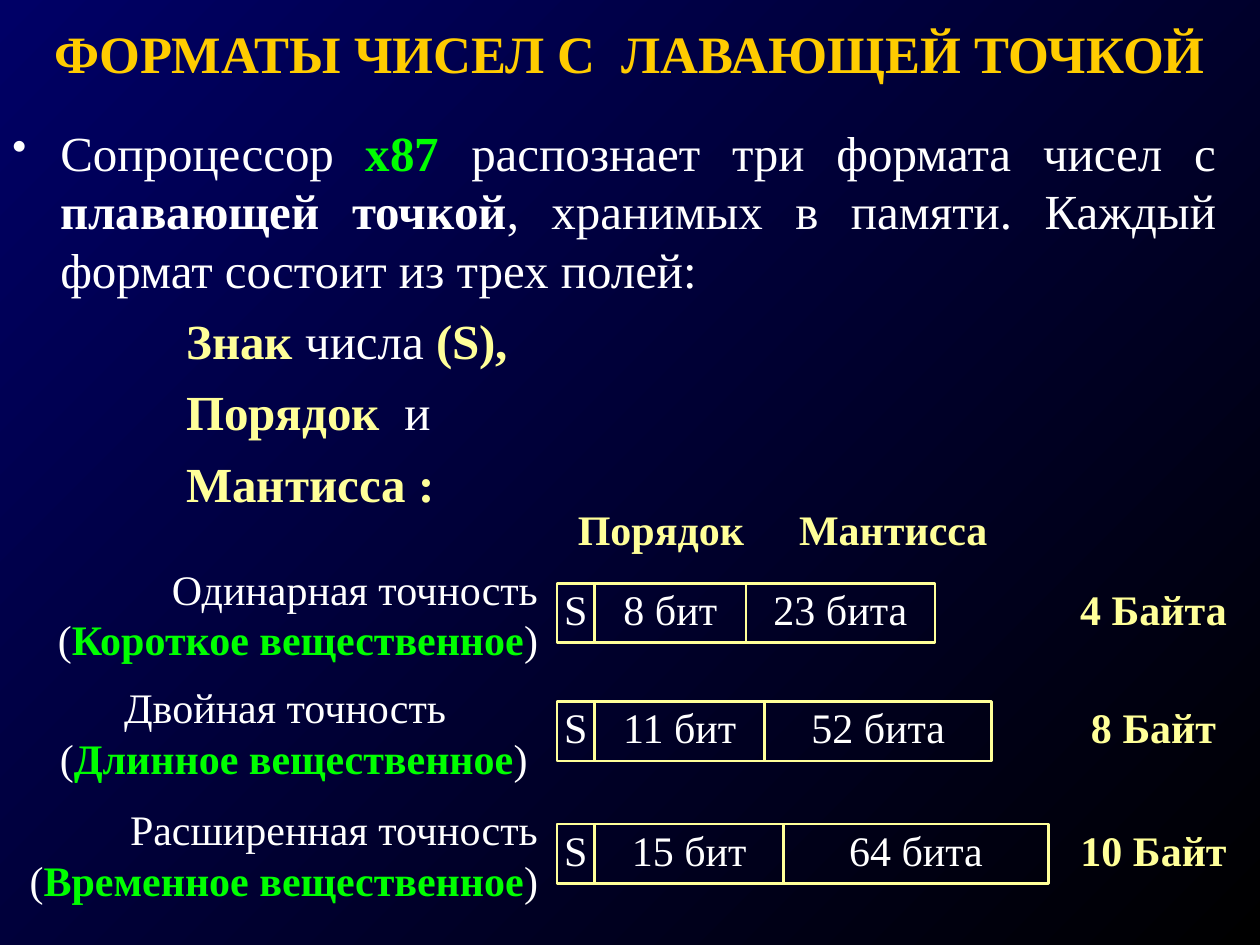
from dataclasses import dataclass

from lxml import etree
from pptx import Presentation
from pptx.dml.color import RGBColor
from pptx.enum import shapes, text
from pptx.oxml.ns import qn
from pptx.util import Inches, Pt

FONT = "Times New Roman"
NAVY = RGBColor(0x00, 0x00, 0x66)
BLACK = RGBColor(0x00, 0x00, 0x00)
WHITE = RGBColor(0xFF, 0xFF, 0xFF)
GOLD = RGBColor(0xFF, 0xCC, 0x00)
YELLOW = RGBColor(0xFF, 0xFF, 0x99)
GREEN = RGBColor(0x00, 0xFF, 0x00)

CENTER, RIGHT, JUSTIFY = (
    text.PP_ALIGN.CENTER, text.PP_ALIGN.RIGHT, text.PP_ALIGN.JUSTIFY)
FIELD_LEFT, SIGN_WIDTH, FIELD_HEIGHT = 4.42, 0.3, 0.47
LABEL_RIGHT, LABEL_RISE, LABEL_HEIGHT = 4.27, 0.16, 0.79
SIZE_LEFT, SIZE_WIDTH = 8.48, 1.35


@dataclass
class Run:
    text: str
    color: RGBColor = WHITE
    bold: bool = False


@dataclass
class FloatFormat:
    top: float
    label_left: float
    label: list  # pairs of alignment and runs, one per paragraph
    exponent: str
    exponent_width: float
    mantissa: str
    mantissa_width: float
    size: str


FORMATS = [
    FloatFormat(4.63, 0.34, [
        (RIGHT, [Run("Одинарная точность ("),
                 Run("Короткое вещественное", GREEN, True), Run(")")])],
        "8 бит", 1.2, "23 бита", 1.5, "4 Байта"),
    FloatFormat(5.57, 0.34, [
        (CENTER, [Run("Двойная точность ")]),
        (RIGHT, [Run("("), Run("Длинное вещественное", GREEN, True), Run(") ")])],
        "11 бит", 1.35, "52 бита", 1.8, "8 Байт"),
    FloatFormat(6.54, 0, [
        (RIGHT, [Run("Расширенная точность ("),
                 Run("Временное вещественное", GREEN, True), Run(")")])],
        "15 бит", 1.5, "64 бита", 2.1, "10 Байт"),
]

INTRO = [
    Run("Сопроцессор "), Run("х87", GREEN, True),
    Run(" распознает три формата чисел с "), Run("плавающей точкой", bold=True),
    Run(", хранимых в памяти. Каждый формат состоит из трех полей:"),
]
PARTS = [
    [Run("Знак ", YELLOW, True), Run("числа "), Run("(S),", YELLOW, True)],
    [Run("Порядок  ", YELLOW, True), Run("и")],
    [Run("Мантисса :", YELLOW, True)],
]


def write_runs(paragraph, runs: list, *, size: float, align) -> None:
    paragraph.alignment = align
    for item in runs:
        run = paragraph.add_run()
        run.text = item.text
        run.font.name = FONT
        run.font.size = Pt(size)
        run.font.bold = item.bold
        run.font.color.rgb = item.color


def write_paragraphs(frame, paragraphs: list, *, size: float = 24,
                     margins: tuple = (0, 0)) -> None:
    frame.word_wrap = True
    frame.vertical_anchor = text.MSO_ANCHOR.TOP
    frame.margin_left = frame.margin_right = Inches(margins[0])
    frame.margin_top = frame.margin_bottom = Inches(margins[1])
    for index, (align, runs) in enumerate(paragraphs):
        paragraph = frame.add_paragraph() if index else frame.paragraphs[0]
        write_runs(paragraph, runs, size=size, align=align)


def add_text(slide, left: float, top: float, width: float, height: float,
             paragraphs: list, **formatting):
    shape = slide.shapes.add_textbox(
        Inches(left), Inches(top), Inches(width), Inches(height))
    write_paragraphs(shape.text_frame, paragraphs, **formatting)
    return shape


def add_field(slide, left: float, top: float, width: float, caption: str) -> None:
    shape = slide.shapes.add_shape(
        shapes.MSO_SHAPE.RECTANGLE, Inches(left), Inches(top),
        Inches(width), Inches(FIELD_HEIGHT))
    shape.shadow.inherit = False
    shape.fill.background()
    shape.line.color.rgb = YELLOW
    shape.line.width = Pt(1.5)
    write_paragraphs(shape.text_frame, [(CENTER, [Run(caption)])])


def add_caption(slide, left: float, top: float, width: float, caption: str) -> None:
    add_text(slide, left, top, width, FIELD_HEIGHT,
             [(CENTER, [Run(caption, YELLOW, True)])])


def set_indent(paragraph, left: float, first: float = 0) -> None:
    properties = paragraph._p.get_or_add_pPr()
    properties.set("marL", str(Inches(left)))
    properties.set("indent", str(Inches(first)))


def add_bullet(paragraph) -> None:
    properties = paragraph._p.get_or_add_pPr()
    color = etree.SubElement(properties, qn("a:buClr"))
    etree.SubElement(color, qn("a:srgbClr")).set("val", str(WHITE))
    etree.SubElement(properties, qn("a:buSzPct")).set("val", "85000")
    etree.SubElement(properties, qn("a:buChar")).set("char", "•")


def add_format(slide, row: FloatFormat) -> None:
    add_text(slide, row.label_left, row.top - LABEL_RISE,
             LABEL_RIGHT - row.label_left, LABEL_HEIGHT, row.label)
    left = FIELD_LEFT
    for caption, width in (("S", SIGN_WIDTH), (row.exponent, row.exponent_width),
                           (row.mantissa, row.mantissa_width)):
        add_field(slide, left, row.top, width, caption)
        left += width
    add_caption(slide, SIZE_LEFT, row.top, SIZE_WIDTH, row.size)


def main() -> None:
    presentation = Presentation()
    presentation.slide_width, presentation.slide_height = Inches(10), Inches(7.5)
    slide = presentation.slides.add_slide(presentation.slide_layouts[5])

    # Diagonal background
    fill = slide.background.fill
    fill.gradient()
    fill.gradient_angle = 315
    for stop, color in zip(fill.gradient_stops, (NAVY, BLACK)):
        stop.color.rgb = color

    # Title
    title = slide.shapes.title
    title.left, title.top = Inches(0), Inches(0)
    title.width, title.height = Inches(10), Inches(0.83)
    title.text_frame.vertical_anchor = text.MSO_ANCHOR.MIDDLE
    write_runs(title.text_frame.paragraphs[0],
               [Run("ФОРМАТЫ ЧИСЕЛ С  ЛАВАЮЩЕЙ ТОЧКОЙ", GOLD, True)],
               size=30, align=CENTER)

    # Introduction and the three parts of a number
    body = add_text(slide, 0, 0.92, 9.75, 3.2,
                    [(JUSTIFY, runs) for runs in [INTRO, *PARTS]],
                    size=28, margins=(0.1, 0.05))
    intro, *parts = body.text_frame.paragraphs
    set_indent(intro, 0.38, -0.38)
    add_bullet(intro)
    for paragraph in parts:
        set_indent(paragraph, 1.38)
        paragraph.space_before = Pt(7)

    # Field headings and the three formats
    add_caption(slide, 4.57, 4, 1.35, "Порядок")
    add_caption(slide, 6.22, 4, 1.74, "Мантисса")
    for row in FORMATS:
        add_format(slide, row)

    presentation.save("out.pptx")


if __name__ == "__main__":
    main()
